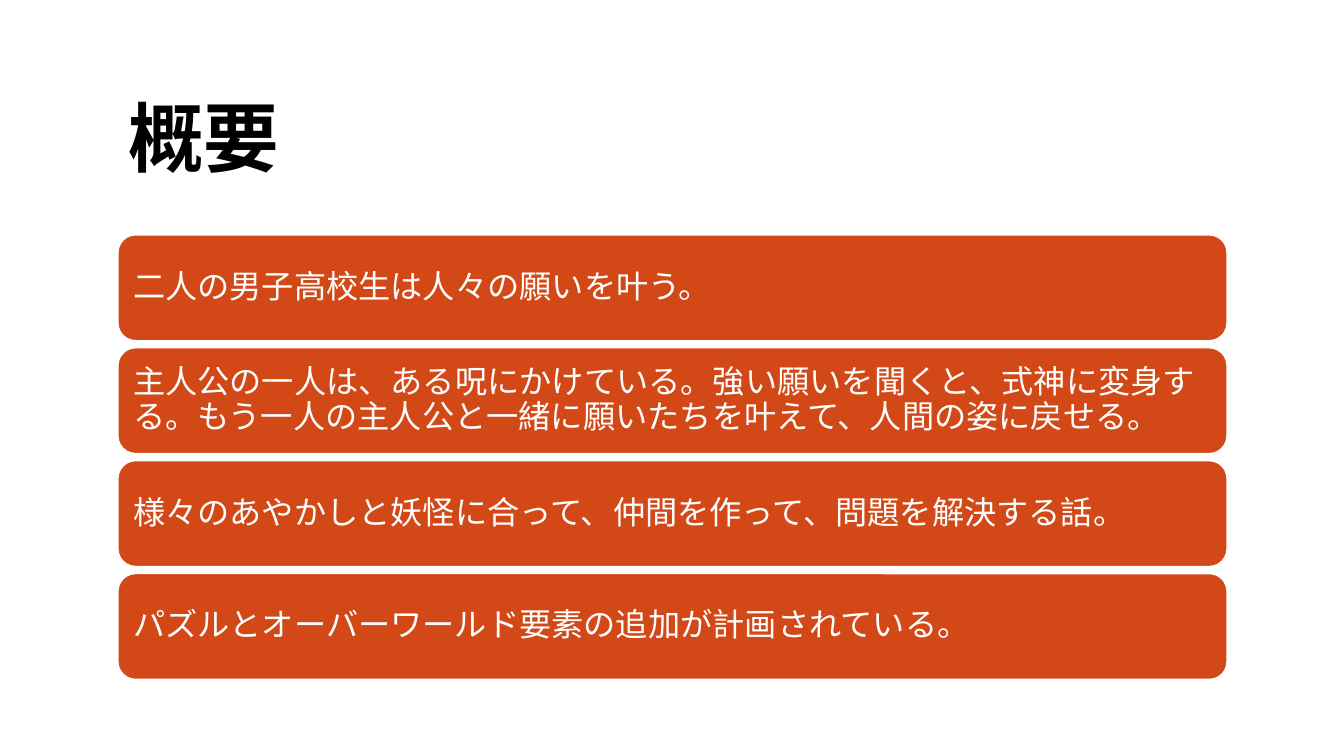
from dataclasses import dataclass

from pptx import Presentation
from pptx.dml.color import RGBColor
from pptx.enum.shapes import MSO_SHAPE as Shape
from pptx.enum.text import MSO_ANCHOR as Anchor, MSO_AUTO_SIZE as AutoSize, PP_ALIGN as Align
from pptx.util import Pt

EMU_PER_PX = 9144  # 100 px to the inch
TITLE_ONLY = 5

SUMMARY = [
    "二人の男子高校生は人々の願いを叶う。",
    "主人公の一人は、ある呪にかけている。強い願いを聞くと、式神に変身する。もう一人の主人公と一緒に願いたちを叶えて、人間の姿に戻せる。",
    "様々のあやかしと妖怪に合って、仲間を作って、問題を解決する話。",
    "パズルとオーバーワールド要素の追加が計画されている。",
]


@dataclass(frozen=True)
class Theme:
    title_font: str = "Calibri"
    body_font: str = "TeX Gyre Bonum"
    title_size: int = 54
    body_size: int = 23
    ink: RGBColor = RGBColor(0, 0, 0)
    paper: RGBColor = RGBColor(255, 255, 255)
    accent: RGBColor = RGBColor(0xD3, 0x48, 0x17)


def px(length):
    return length * EMU_PER_PX


class SlideBuilder:
    def __init__(self, slide, theme):
        self.slide = slide
        self.theme = theme

    def set_text(self, shape, text, font_name, size, color, bold=False):
        frame = shape.text_frame
        frame.text = text
        frame.word_wrap = True
        frame.auto_size = AutoSize.NONE
        frame.vertical_anchor = Anchor.MIDDLE
        paragraph = frame.paragraphs[0]
        paragraph.alignment = Align.LEFT
        paragraph.line_spacing = 0.9
        font = paragraph.runs[0].font
        font.name, font.size, font.bold = font_name, Pt(size), bold
        font.color.rgb = color

    def title(self, text, left, top, width, height):
        title = self.slide.shapes.title
        title.left, title.top = px(left), px(top)
        title.width, title.height = px(width), px(height)
        theme = self.theme
        self.set_text(title, text, theme.title_font, theme.title_size, theme.ink, bold=True)

    def card(self, text, left, top, width, height, inset):
        theme = self.theme
        card = self.slide.shapes.add_shape(
            Shape.ROUNDED_RECTANGLE, px(left), px(top), px(width), px(height))
        card.shadow.inherit = False
        card.fill.solid()
        card.fill.fore_color.rgb = theme.accent
        card.line.color.rgb = theme.paper
        card.line.width = Pt(1)
        frame = card.text_frame
        frame.margin_left = frame.margin_right = px(inset)
        frame.margin_top = frame.margin_bottom = px(inset)
        self.set_text(card, text, theme.body_font, theme.body_size, theme.paper)


def main():
    presentation = Presentation()
    presentation.slide_width, presentation.slide_height = px(1333), px(750)
    slide = presentation.slides.add_slide(presentation.slide_layouts[TITLE_ONLY])
    builder = SlideBuilder(slide, Theme())

    left, width = 117, 1100
    builder.title("概要", left, 53, width, 176)

    first_top, card_height, gap = 233, 105, 7
    for index, sentence in enumerate(SUMMARY):
        top = first_top + index * (card_height + gap)
        # The rounded corners add 5 px to a text margin of 10 px.
        builder.card(sentence, left, top, width, card_height, inset=10)

    presentation.save("out.pptx")


if __name__ == "__main__":
    main()
